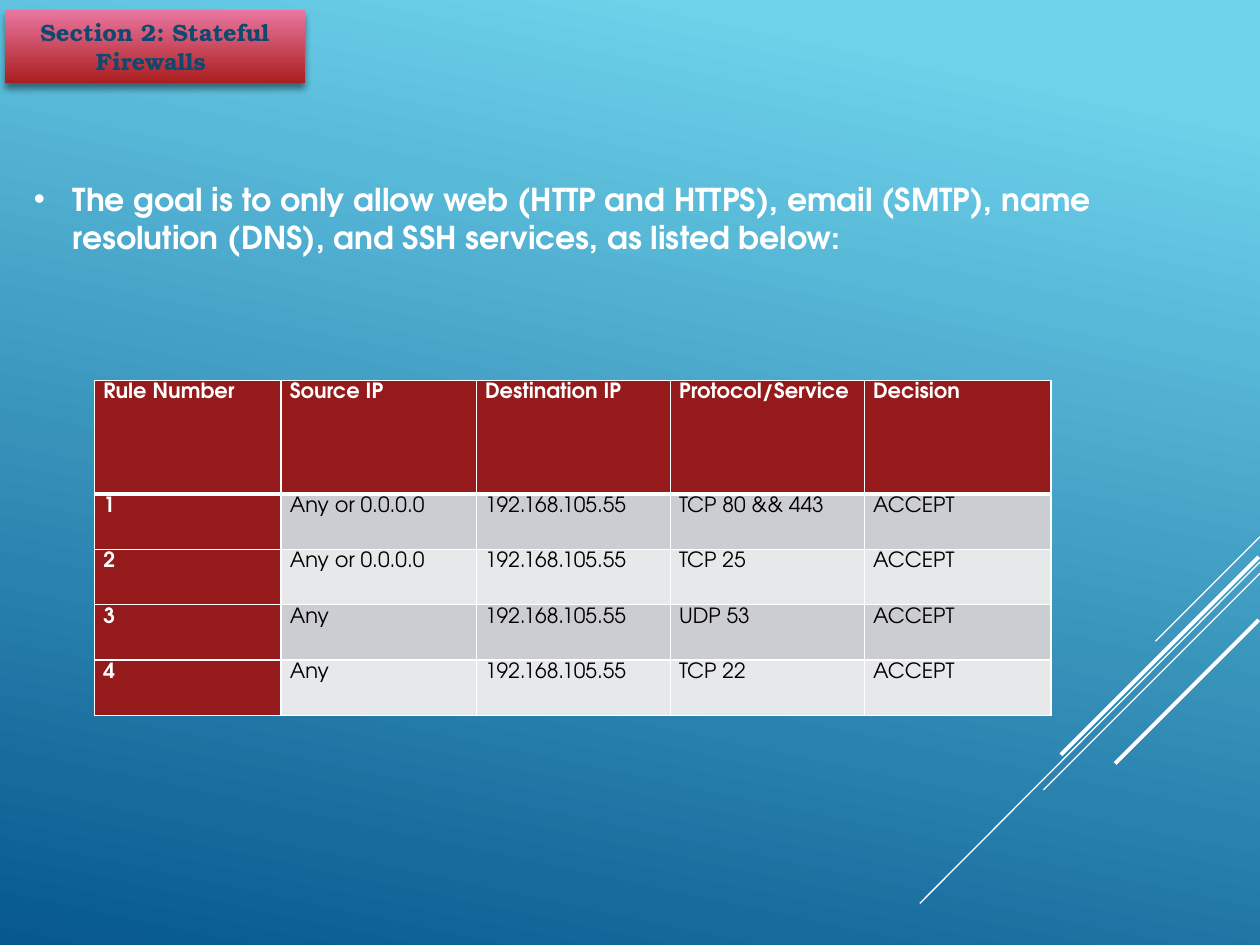
from lxml.etree import SubElement
from pptx import Presentation
from pptx.dml.color import RGBColor
from pptx.enum.shapes import MSO_CONNECTOR
from pptx.enum.text import MSO_ANCHOR, MSO_AUTO_SIZE, PP_ALIGN
from pptx.oxml import parse_xml
from pptx.oxml.ns import nsdecls, qn
from pptx.util import Inches, Pt

TITLE = "Section 2: Stateful Firewalls "
GOAL = (
    "The goal is to only allow web (HTTP and HTTPS), email (SMTP), "
    "name resolution (DNS), and SSH services, as listed below:"
)
HEADERS = ("Rule Number", "Source IP", "Destination IP", "Protocol/Service", "Decision")
RULES = (
    ("1", "Any or 0.0.0.0", "192.168.105.55", "TCP 80 && 443", "ACCEPT"),
    ("2", "Any or 0.0.0.0", "192.168.105.55", "TCP 25", "ACCEPT"),
    ("3", "Any", "192.168.105.55", "UDP 53", "ACCEPT"),
    ("4", "Any", "192.168.105.55", "TCP 22", "ACCEPT"),
)
COLUMN_WIDTHS = (1.48, 1.55, 1.54, 1.54, 1.48)
HEADER_HEIGHT, RULE_HEIGHT = 0.9, 0.44
DIAGONALS = (
    ((10, 4.26), (9.17, 5.09), 0.75),
    ((10, 4.46), (7.3, 7.17), 0.75),
    ((10, 4.55), (8.28, 6.27), 0.75),
    ((9.99, 4.42), (8.42, 5.99), 2.25),
    ((9.99, 4.92), (8.85, 6.06), 2.25),
)
COLORS = {
    "sky": "6ED2EB", "sea": "06588E", "pink": "EA76A0", "red": "AA1E1F",
    "navy": "0F496F", "white": "FFFFFF", "black": "000000",
    "header": "941A1B", "dark_band": "CCCDD2", "light_band": "E7E8EA",
}
BODY_FONT, TITLE_FONT = "TeX Gyre Adventor", "TeX Gyre Bonum"


def color(name):
    return RGBColor.from_string(COLORS[name])


def set_gradient(fill, stops, clockwise_angle):
    fill.gradient()
    fill.gradient_angle = 360 - clockwise_angle
    for stop, (position, name) in zip(fill.gradient_stops, stops):
        stop.position = position
        stop.color.rgb = color(name)


def add_run(paragraph, text, size, font_name, color_name, bold=True):
    run = paragraph.add_run()
    run.text = text
    run.font.size = Pt(size)
    run.font.name = font_name
    run.font.bold = bold
    run.font.color.rgb = color(color_name)


def add_diagonals(slide):
    for start, end, width in DIAGONALS:
        connector = slide.shapes.add_connector(
            MSO_CONNECTOR.STRAIGHT, *(Inches(value) for value in start + end)
        )
        connector.line.color.rgb = color("white")
        connector.line.width = Pt(width)
        SubElement(connector._element.spPr, qn("a:effectLst"))


def format_title(title):
    title.left, title.top = Inches(0.04), Inches(0.08)
    title.width, title.height = Inches(2.38), Inches(0.58)
    properties = title._element.spPr
    properties.append(parse_xml(
        f'<a:prstGeom {nsdecls("a")} prst="roundRect"><a:avLst/></a:prstGeom>'
    ))
    set_gradient(title.fill, ((0, "pink"), (1, "red")), 90)
    title.line.fill.background()
    properties.append(parse_xml(
        f'<a:effectLst {nsdecls("a")}>'
        f'<a:outerShdw blurRad="{Pt(4)}" dist="{Pt(3)}" dir="5400000" rotWithShape="0">'
        f'<a:srgbClr val="{COLORS["black"]}"><a:alpha val="46000"/></a:srgbClr>'
        '</a:outerShdw></a:effectLst>'
    ))
    frame = title.text_frame
    frame.word_wrap = True
    frame.auto_size = MSO_AUTO_SIZE.NONE
    frame.vertical_anchor = MSO_ANCHOR.MIDDLE
    paragraph = frame.paragraphs[0]
    paragraph.alignment = PP_ALIGN.CENTER
    add_run(paragraph, TITLE, 13.5, TITLE_FONT, "navy")


def add_goal(slide):
    box = slide.shapes.add_textbox(Inches(0.17), Inches(1.38), Inches(9.67), Inches(0.71))
    frame = box.text_frame
    frame.word_wrap = True
    frame.auto_size = MSO_AUTO_SIZE.SHAPE_TO_FIT_TEXT
    paragraph = frame.paragraphs[0]
    properties = paragraph._p.get_or_add_pPr()
    properties.set("marL", str(Inches(0.31)))
    properties.set("indent", str(-Inches(0.31)))
    SubElement(properties, qn("a:buFont"), typeface="Arial")
    SubElement(properties, qn("a:buChar"), char="•")
    add_run(paragraph, GOAL, 18, BODY_FONT, "white")


def add_borders(cell, bottom_width):
    widths = {"lnL": 1, "lnR": 1, "lnT": 1, "lnB": bottom_width}
    for side, width in widths.items():
        cell._tc.get_or_add_tcPr().append(parse_xml(
            f'<a:{side} {nsdecls("a")} w="{Pt(width)}"><a:solidFill>'
            f'<a:srgbClr val="{COLORS["white"]}"/></a:solidFill></a:{side}>'
        ))


def format_cell(cell, text, row_index, column_index):
    is_header = row_index == 0 or column_index == 0
    band = "dark_band" if row_index % 2 else "light_band"
    add_borders(cell, 3 if row_index == 0 else 1)
    cell.fill.solid()
    cell.fill.fore_color.rgb = color("header" if is_header else band)
    cell.margin_left = cell.margin_right = Inches(0.07)
    cell.margin_top = cell.margin_bottom = 0
    paragraph = cell.text_frame.paragraphs[0]
    paragraph.line_spacing = 1.15
    add_run(paragraph, text, 12, BODY_FONT, "white" if is_header else "black", is_header)


def add_rule_table(slide):
    rows = (HEADERS,) + RULES
    heights = (HEADER_HEIGHT,) + (RULE_HEIGHT,) * len(RULES)
    table = slide.shapes.add_table(
        len(rows), len(HEADERS), Inches(0.75), Inches(3.02),
        Inches(sum(COLUMN_WIDTHS)), Inches(sum(heights)),
    ).table
    table.first_col = True
    for column, width in zip(table.columns, COLUMN_WIDTHS):
        column.width = Inches(width)
    for row_index, (texts, height) in enumerate(zip(rows, heights)):
        table.rows[row_index].height = Inches(height)
        for column_index, text in enumerate(texts):
            format_cell(table.cell(row_index, column_index), text, row_index, column_index)


def main():
    """Build the stateful firewall rules slide."""
    presentation = Presentation()
    presentation.slide_width, presentation.slide_height = Inches(10), Inches(7.5)
    slide = presentation.slides.add_slide(presentation.slide_layouts[5])
    set_gradient(slide.background.fill, ((0.1, "sky"), (1, "sea")), 102)
    add_diagonals(slide)
    format_title(slide.shapes.title)
    add_goal(slide)
    add_rule_table(slide)
    presentation.save("out.pptx")


if __name__ == "__main__":
    main()
